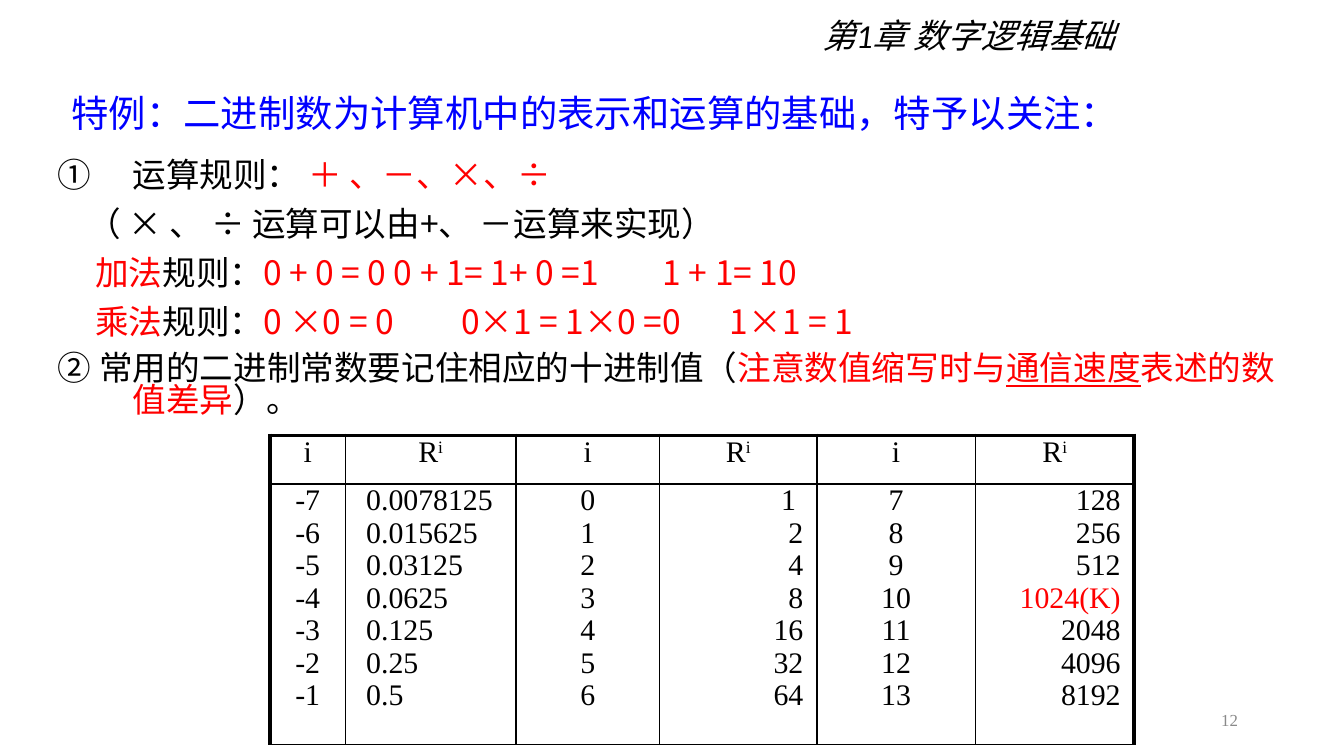
"""Builds the slide on binary arithmetic rules and the table of powers of two."""
from pptx import Presentation
from pptx.dml.color import RGBColor
from pptx.enum.text import MSO_ANCHOR as ANCHOR, MSO_AUTO_SIZE as FIT, PP_ALIGN as ALIGN
from pptx.oxml.ns import qn
from pptx.util import Pt
from lxml.etree import SubElement

SANS, SERIF, LATIN = "Noto Sans CJK SC", "Times New Roman", "Calibri"
BLACK, RED, BLUE, GREY, WHITE = "000000", "FF0000", "0000FF", "898989", "FFFFFF"

CHAPTER = "第1章 数字逻辑基础"
TITLE = "特例：二进制数为计算机中的表示和运算的基础，特予以关注："
BODY = [
    dict(left=40, indent=-40, before=0, number=True,
         runs=[("运算规则： ", BLACK), ("＋ 、－、×、÷", RED)]),
    dict(indent=16, runs=[("（ × 、 ÷ 运算可以由+、 －运算来实现）", BLACK)]),
    dict(indent=20, tabs=(192.5, 319),
         runs=[("加法", RED), ("规则：", BLACK), ("0 + 0 = 0\t0 + 1= 1+ 0 =1\t1 + 1= 10", RED)]),
    dict(indent=20, tabs=(196, 331),
         runs=[("乘法", RED), ("规则：", BLACK), ("0 ×0 = 0\t0×1 = 1×0 =0\t1×1 = 1", RED)]),
    dict(left=40, indent=-40, before=7.5,
         runs=[("② 常用的二进制常数要记住相应的十进制值（", BLACK), ("注意数值缩写时与", RED),
               ("通信速度", RED, True), ("表述的数值差异", RED), ("）。", BLACK)]),
]
C, L, R = ALIGN.CENTER, ALIGN.LEFT, ALIGN.RIGHT
COLUMNS = [
    (40.3, C, "-7 -6 -5 -4 -3 -2 -1".split()),
    (91.4, L, "0.0078125 0.015625 0.03125 0.0625 0.125 0.25 0.5".split()),
    (77, C, "0 1 2 3 4 5 6".split()),
    (84.2, R, ["1 "] + "2 4 8 16 32 64".split()),
    (85, C, "7 8 9 10 11 12 13".split()),
    (85, R, "128 256 512 1024(K) 2048 4096 8192".split()),
]
ROW_HEIGHTS = (25.9, 139.7)


def rgb(color):
    return RGBColor.from_string(color)


def add_run(p, text, size, font, color, italic=False, underline=False, raised=False):
    r = p.add_run()
    r.text = text
    r.font.size, r.font.name = Pt(size), font
    r.font.color.rgb = rgb(color)
    r.font.italic, r.font.underline = italic, underline
    rPr = r._r.get_or_add_rPr()
    SubElement(rPr, qn("a:ea")).set("typeface", SANS)
    if raised:
        rPr.set("baseline", "30000")


def place(sp, left, top, width, height):
    sp.left, sp.top, sp.width, sp.height = Pt(left), Pt(top), Pt(width), Pt(height)
    sp.text_frame.word_wrap = True
    return sp.text_frame


def add_label(s, box, text, align, anchor, *style, **extra):
    tf = place(s.shapes.add_textbox(0, 0, 0, 0), *box)
    tf.vertical_anchor = anchor
    tf.paragraphs[0].alignment = align
    add_run(tf.paragraphs[0], text, *style, **extra)


def fill_body(tf):
    tf.vertical_anchor, tf.auto_size = ANCHOR.TOP, FIT.TEXT_TO_FIT_SHAPE
    for i, item in enumerate(BODY):
        p = tf.add_paragraph() if i else tf.paragraphs[0]
        pPr = p._p.get_or_add_pPr()
        pPr.set("marL", str(Pt(item.get("left", 0))))
        pPr.set("indent", str(Pt(item["indent"])))
        if item.get("number"):
            SubElement(pPr, qn("a:buAutoNum")).set("type", "circleNumDbPlain")
        else:
            SubElement(pPr, qn("a:buNone"))
        if "tabs" in item:
            stops = SubElement(pPr, qn("a:tabLst"))
            for pos in item["tabs"]:
                SubElement(stops, qn("a:tab"), pos=str(Pt(pos)), algn="l")
        p.line_spacing, p.space_before = 0.8, Pt(item.get("before", 9))
        for text, color, *underline in item["runs"]:
            add_run(p, text, 18, SANS, color, underline=bool(underline))


def format_cell(cell, row, col):
    tcPr = cell._tc.get_or_add_tcPr()
    thick = {"lnL": col == 0, "lnR": col == len(COLUMNS) - 1, "lnT": row == 0, "lnB": False}
    for side, heavy in thick.items():
        ln = SubElement(tcPr, qn("a:" + side), w=str(Pt(2.25 if heavy else 1)))
        SubElement(SubElement(ln, qn("a:solidFill")), qn("a:srgbClr")).set("val", BLACK)
    cell.fill.solid()
    cell.fill.fore_color.rgb = rgb(WHITE)
    cell.margin_left = Pt(11.2 if COLUMNS[col][1] == L and row else 7.2)
    cell.margin_right = Pt(7.2)
    cell.margin_top = cell.margin_bottom = Pt(3)


def add_powers(s):
    width = sum(w for w, _, _ in COLUMNS)
    frame = s.shapes.add_table(2, len(COLUMNS), Pt(144.7), Pt(233.3), Pt(width), Pt(sum(ROW_HEIGHTS)))
    table = frame.table
    table.first_row = table.horz_banding = False
    for row, height in zip(table.rows, ROW_HEIGHTS):
        row.height = Pt(height)
    for col, (w, align, values) in enumerate(COLUMNS):
        table.columns[col].width = Pt(w)
        head = ["R" if col % 2 else "i"]
        for row, lines in enumerate((head, values)):
            cell = table.cell(row, col)
            format_cell(cell, row, col)
            for i, text in enumerate(lines):
                p = cell.text_frame.add_paragraph() if i else cell.text_frame.paragraphs[0]
                p.alignment = align if row else C
                p.line_spacing, p.space_before = 0.8, Pt(3.2 if i else 0)
                add_run(p, text, 16, SERIF, RED if "K" in text else BLACK)
                if text == "R":
                    add_run(p, "i", 16, SERIF, BLACK, raised=True)


def main():
    prs = Presentation()
    prs.slide_width, prs.slide_height = Pt(720), Pt(405)
    s = prs.slides.add_slide(prs.slide_layouts[1])
    add_label(s, (508.3, 375, 162, 21.6), "12", R, ANCHOR.MIDDLE, 9, SERIF, GREY)

    tf = place(s.shapes.title, 31, 47.5, 648, 31.7)
    tf.vertical_anchor, tf.auto_size = ANCHOR.TOP, FIT.NONE
    p = tf.paragraphs[0]
    p.alignment, p.line_spacing = L, 0.9
    add_run(p, TITLE, 20, SANS, BLUE)

    fill_body(place(s.placeholders[1], 23.8, 82.8, 673.9, 147.6))
    add_powers(s)
    add_label(s, (433.4, 4.3, 244.8, 33.8), CHAPTER, L, ANCHOR.TOP, 18, LATIN, BLACK, italic=True)
    prs.save("out.pptx")


if __name__ == "__main__":
    main()
